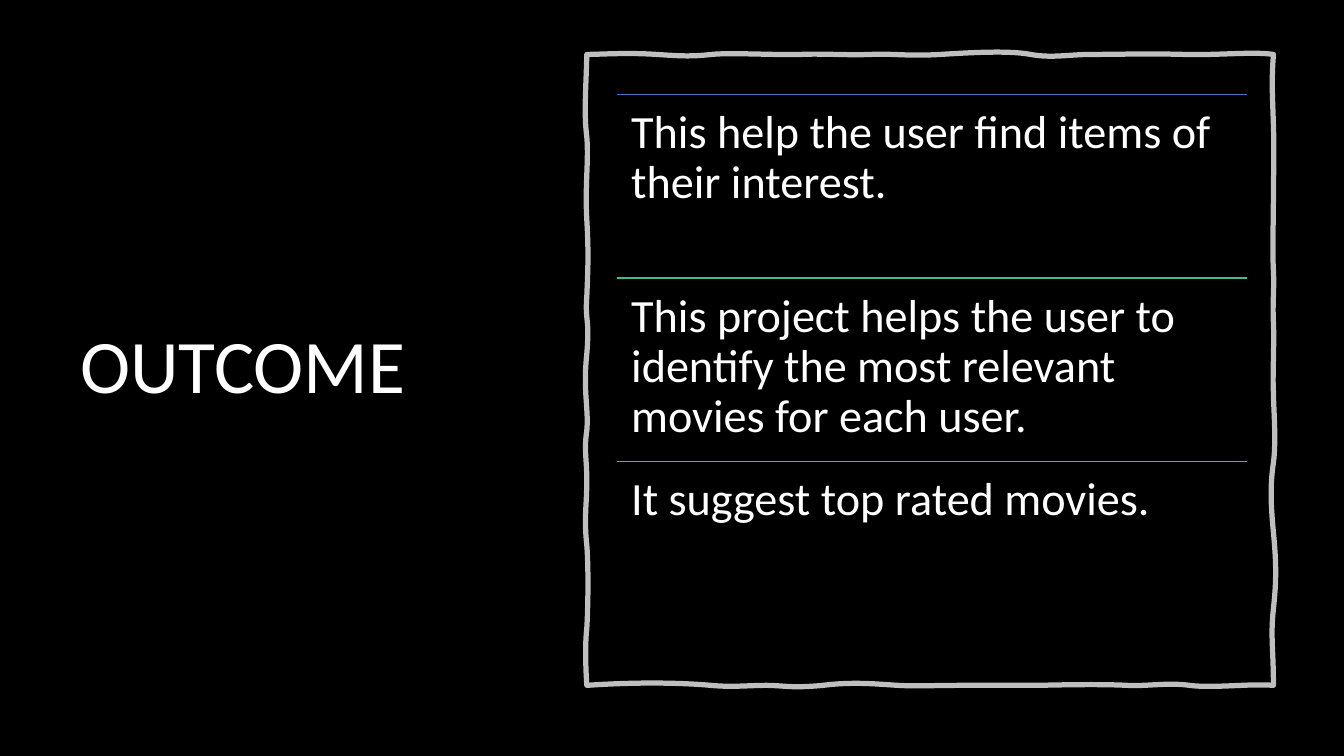
from lxml.etree import SubElement as add_sub
from pptx import Presentation
from pptx.dml.color import RGBColor
from pptx.enum.shapes import MSO_CONNECTOR as Link
from pptx.enum.text import MSO_ANCHOR as Anchor
from pptx.oxml.ns import qn
from pptx.util import Cm, Pt

BLACK = RGBColor(0, 0, 0)
WHITE = RGBColor(255, 255, 255)
BLUE = RGBColor(0x44, 0x72, 0xC4)
TEAL = RGBColor(0x43, 0xBB, 0x8D)
GREEN = RGBColor(0x70, 0xAD, 0x47)
FONT = "Calibri"

ITEMS = [
    (BLUE, "This help the user find items of their interest."),
    (TEAL, "This project helps the user to identify the most relevant movies for each user."),
    (GREEN, "It suggest top rated movies."),
]

# Frame edges in hundredths of an inch
LEFT, TOP, RIGHT, BASE = 582, 54, 1263, 680

# Waves along each side: place and swing of two handles, then the end place
TOP_SIDE = [
    (596, 0, 621, -2, 651), (680, 2, 687, 2, 706), (724, -2, 777, 1, 795),
    (813, -1, 842, 1, 864), (886, -1, 900, 2, 933), (965, -2, 1001, -4, 1022),
    (1044, 4, 1059, 0, 1084), (1110, 0, 1138, -1, 1174), (1209, 1, 1242, -3, 1263),
]
RIGHT_SIDE = [
    (82, -2, 91, -1, 124), (156, 1, 173, 0, 193), (213, 0, 251, -1, 269),
    (287, 1, 299, -1, 320), (341, 1, 374, -1, 389), (404, 0, 437, 3, 459),
    (480, -3, 497, -3, 528), (560, 3, 576, 3, 604), (632, -3, 643, 0, 680),
]
BASE_SIDE = [
    (1240, -2, 1203, 3, 1180), (1158, -3, 1138, 1, 1118), (1099, -1, 1071, -1, 1029),
    (987, 0, 980, 0, 953), (926, 0, 910, 1, 891), (873, -1, 847, -4, 816),
    (784, 3, 777, 0, 760), (743, 0, 726, 2, 705), (684, -2, 639, -4, 582),
]
LEFT_SIDE = [
    (666, -1, 639, -2, 623), (607, 1, 567, 2, 541), (514, -3, 500, 0, 477),
    (455, 0, 447, -3, 427), (406, 2, 388, -4, 351), (314, 3, 320, -2, 294),
    (268, 1, 253, 2, 218), (183, -2, 160, 2, 136), (112, -3, 93, -1, 54),
]


def inch(size):
    return Cm(size * 2.54)


def spot(x, y):
    return inch(x / 100), inch(y / 100)


def curves(waves, edge, upright):
    """Two handles and the end of each curve along one side."""
    for one, swing, two, sway, end in waves:
        trio = [(one, edge + swing), (two, edge + sway), (end, edge)]
        yield [spot(b, a) if upright else spot(a, b) for a, b in trio]


def add_frame(slide):
    arcs = [
        *curves(TOP_SIDE, TOP, False),
        *curves(RIGHT_SIDE, RIGHT, True),
        *curves(BASE_SIDE, BASE, False),
        *curves(LEFT_SIDE, LEFT, True),
    ]
    pen = slide.shapes.build_freeform(*spot(LEFT, TOP))
    pen.add_line_segments([arc[-1] for arc in arcs], close=True)
    frame = pen.convert_to_shape()

    # Turn each straight segment into a curve
    lines = list(frame._element.iter(qn("a:lnTo")))
    for line, arc in zip(lines, arcs):
        line.clear()
        line.tag = qn("a:cubicBezTo")
        for x, y in arc:
            add_sub(line, qn("a:pt"), x=str(x - frame.left), y=str(y - frame.top))

    frame.shadow.inherit = False
    frame.fill.background()
    frame.line.width = Pt(3.75)
    frame.line.color.rgb = WHITE
    tint = frame.line.fill._xPr.find(".//" + qn("a:srgbClr"))
    add_sub(tint, qn("a:alpha"), val="75000")


def add_rule(slide, left, top, width, color):
    rule = slide.shapes.add_connector(
        Link.STRAIGHT, inch(left), inch(top), inch(left + width), inch(top))
    rule.line.color.rgb = color
    rule.line.width = Pt(1)
    add_sub(rule._element.spPr, qn("a:effectLst"))


def add_text(slide, text, box, size, pads, anchor):
    frame = slide.shapes.add_textbox(*map(inch, box)).text_frame
    frame.word_wrap = True
    frame.vertical_anchor = anchor
    frame.margin_left = frame.margin_right = inch(pads[0])
    frame.margin_top = frame.margin_bottom = inch(pads[1])
    frame.text = text
    para = frame.paragraphs[0]
    para.line_spacing = 0.9
    font = para.runs[0].font
    font.name, font.size, font.color.rgb = FONT, Pt(size), WHITE


def main():
    deck = Presentation()
    deck.slide_width, deck.slide_height = inch(13.33), inch(7.5)
    slide = deck.slides.add_slide(deck.slide_layouts[6])
    slide.background.fill.solid()
    slide.background.fill.fore_color.rgb = BLACK

    # Title and sketched frame
    add_text(slide, "OUTCOME", (0.7, 0.93, 4.4, 5.47), 54, (0.1, 0.05), Anchor.MIDDLE)
    add_frame(slide)

    # Ruled list of outcomes
    left, top, width, row = 6.12, 0.94, 6.25, 1.82
    for i, (color, text) in enumerate(ITEMS):
        y = top + i * row
        add_rule(slide, left, y, width, color)
        add_text(slide, text, (left, y, width, row), 33, (0.14, 0.14), Anchor.TOP)

    deck.save("out.pptx")


main()
